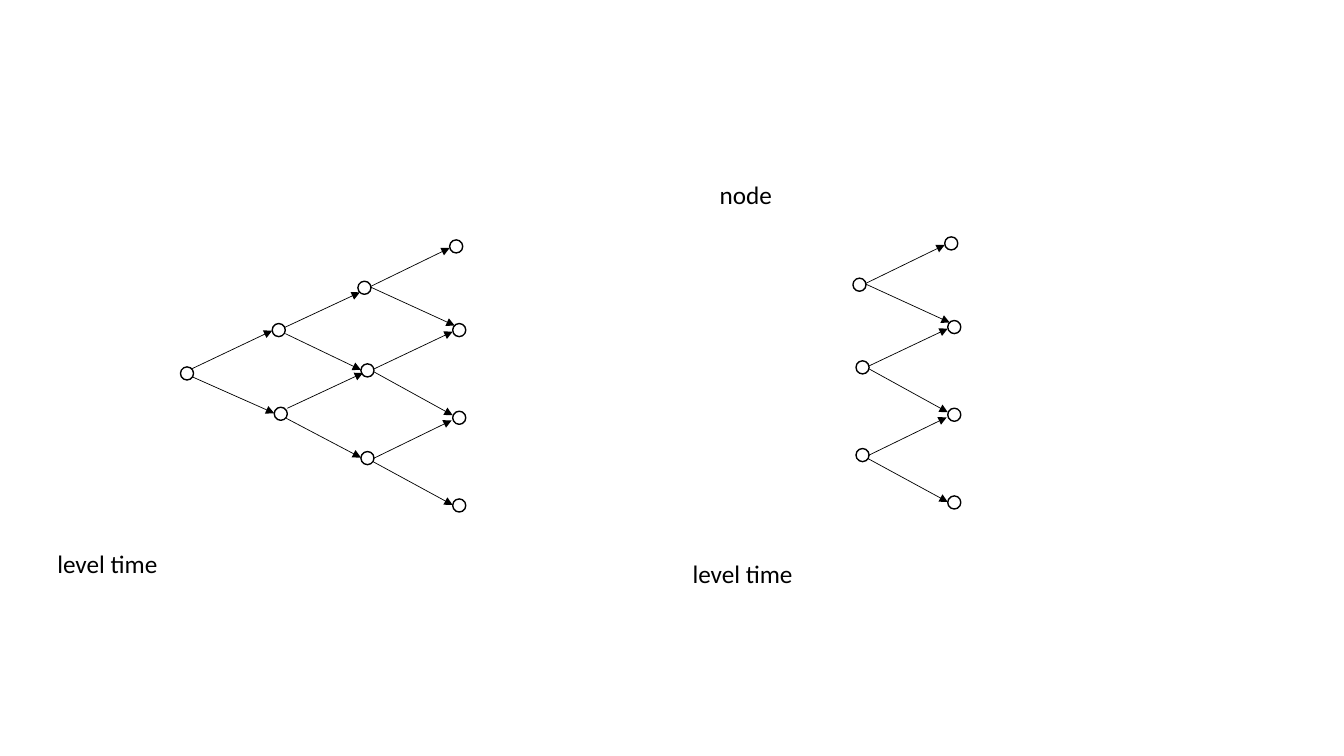
"""Draw a three-step lattice, its last step alone, and their labels."""
from lxml import etree
from pptx import Presentation
from pptx.dml.color import RGBColor
from pptx.enum.shapes import MSO_CONNECTOR, MSO_SHAPE
from pptx.enum.text import MSO_AUTO_SIZE
from pptx.oxml.ns import qn
from pptx.util import Inches, Pt

OVAL = MSO_SHAPE.OVAL
LINE = MSO_CONNECTOR.STRAIGHT
GROW = MSO_AUTO_SIZE.SHAPE_TO_FIT_TEXT
BLACK = "000000"
SIZE = 0.13


def paint(fill, color):
    fill.solid()
    fill.fore_color.rgb = RGBColor.from_string(color)


deck = Presentation()
deck.slide_width, deck.slide_height = Inches(13.33), Inches(7.5)
slide = deck.slides.add_slide(deck.slide_layouts[6])
shapes = slide.shapes

first_nodes = [(1.79, 3.64), (2.7, 3.21), (2.72, 4.04)]
last_nodes = [
    (3.55, 2.79), (3.58, 3.61), (3.58, 4.48),
    (4.46, 2.38), (4.49, 3.21), (4.49, 4.08), (4.49, 4.95),
]
first_arrows = [
    (1.9, 3.66, 2.7, 3.28), (1.91, 3.74, 2.72, 4.1),
    (2.82, 3.25, 3.57, 2.9), (2.83, 3.31, 3.58, 3.67),
    (2.85, 4.05, 3.6, 3.7), (2.84, 4.15, 3.58, 4.54),
]
last_arrows = [
    (3.68, 2.84, 4.46, 2.46), (3.68, 2.85, 4.51, 3.23),
    (3.71, 3.66, 4.49, 3.29), (3.71, 3.69, 4.49, 4.12),
    (3.7, 4.55, 4.48, 4.17), (3.7, 4.58, 4.49, 5.01),
]
graphs = [
    (0, 0, first_nodes + last_nodes, first_arrows + last_arrows),
    (4.91, -0.03, last_nodes, last_arrows),
]

for dx, dy, nodes, arrows in graphs:
    for x, y in nodes:
        node = shapes.add_shape(
            OVAL, Inches(x + dx), Inches(y + dy), Inches(SIZE), Inches(SIZE))
        node.shadow.inherit = False
        node.fill.background()
        paint(node.line.fill, BLACK)
        node.line.width = Pt(1)
    for x1, y1, x2, y2 in arrows:
        arrow = shapes.add_connector(
            LINE, Inches(x1 + dx), Inches(y1 + dy),
            Inches(x2 + dx), Inches(y2 + dy))
        paint(arrow.line.fill, BLACK)
        arrow.line.width = Pt(0.5)
        props = arrow.element.spPr
        etree.SubElement(props.find(qn("a:ln")), qn("a:tailEnd"), type="triangle")
        etree.SubElement(props, qn("a:effectLst"))

labels = [
    ("level time", 6.77, 5.49, 1.21),
    ("node", 7.04, 1.73, 0.73),
    ("level time", 0.47, 5.39, 1.21),
]
style = {"name": "Calibri", "size": Pt(18)}
for text, x, y, width in labels:
    box = shapes.add_textbox(Inches(x), Inches(y), Inches(width), Inches(0.4))
    frame = box.text_frame
    frame.word_wrap = False
    frame.auto_size = GROW
    run = frame.paragraphs[0].add_run()
    run.text = text
    for key, value in style.items():
        setattr(run.font, key, value)
    paint(run.font.fill, BLACK)

deck.save("out.pptx")
